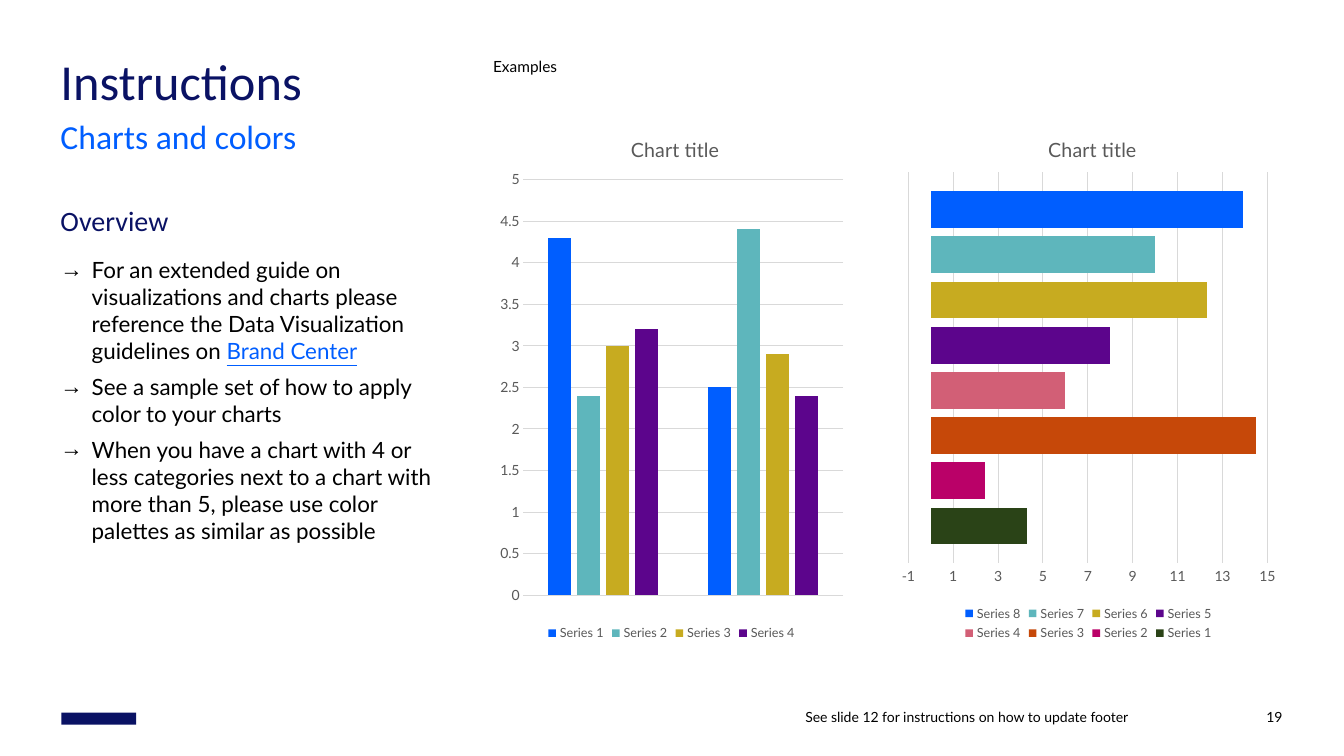
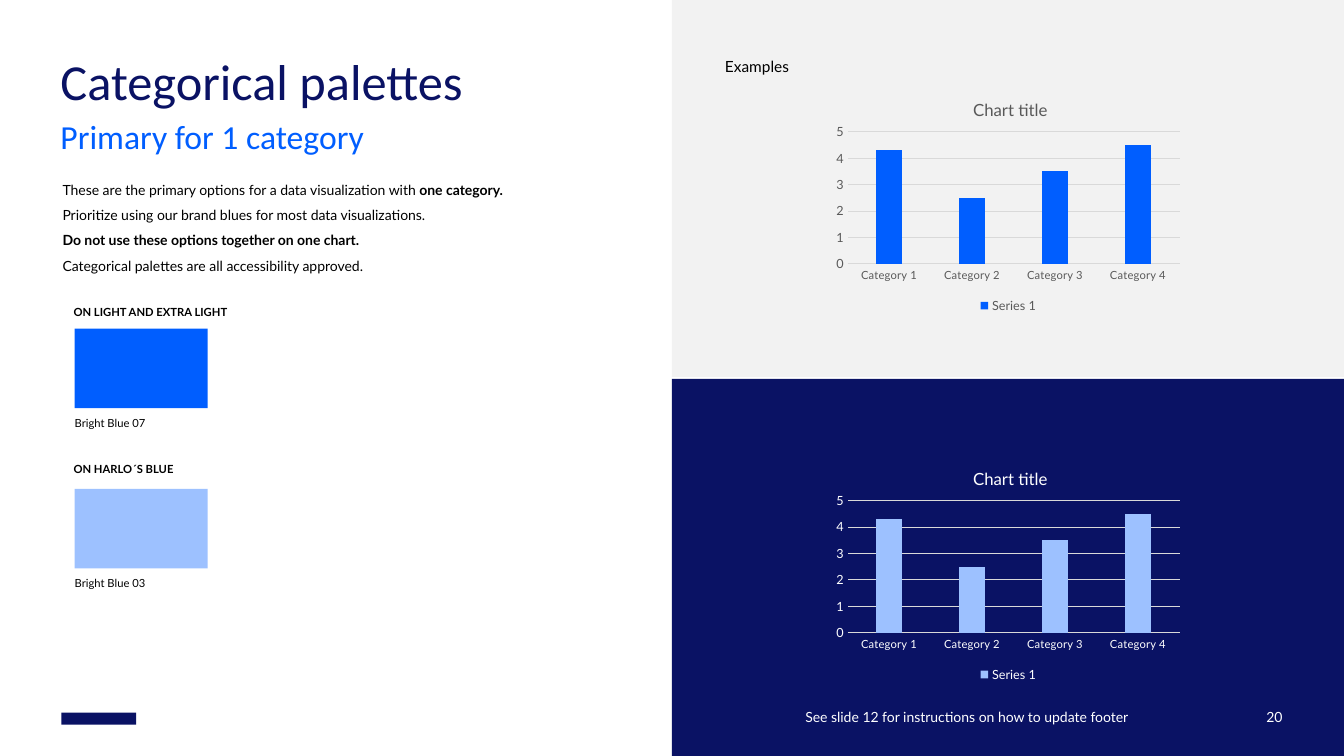
from lxml import etree
from pptx import Presentation
from pptx import util as u
from pptx.chart.data import CategoryChartData
from pptx.dml.color import RGBColor
from pptx.enum import chart as charts, shapes, text
from pptx.oxml import ns

COLORS = {
    "navy": "0A1264", "blue": "005EFF", "sky": "9DC1FF", "teal": "5EB6BC",
    "gold": "C7AB20", "purple": "5C058C", "rose": "D25F76", "rust": "C64809",
    "magenta": "BA0168", "forest": "2A4317", "pale": "F2F2F2", "rule": "D9D9D9",
    "gray": "595959", "black": "000000", "white": "FFFFFF",
}
WIDE, HIGH = 13.33, 7.5
HALF = WIDE / 2
MARGIN = 0.6
PANEL_HIGH = 3.74
SWATCH = (1.32, 0.79)
HEAD_FONT, BODY_FONT = "Calibri", "Lato"
FOOTER = "See slide 12 for instructions on how to update footer"

GUIDE = [
    [("For an extended guide on visualizations and charts please reference "
      "the Data Visualization guidelines on\u00a0", {}),
     ("Brand Center", {"color": "blue", "underline": True})],
    [("See a sample set of how to apply color to your charts", {})],
    [("When you have a chart with 4 or less categories next to a chart with more "
      "than 5, please use color palettes as similar as possible", {})],
]
INTRO = [
    [("These are the primary options for a data visualization with ", {}),
     ("one category.", {"bold": True})],
    [("Prioritize using our brand blues for most data visualizations.", {})],
    [("Do not use these options together on one chart.", {"bold": True})],
    [("Categorical palettes are all accessibility approved.", {})],
]
SWATCHES = [
    ("ON LIGHT AND EXTRA LIGHT", 3.03, "blue", 3.26, "Bright Blue 07"),
    ("ON HARLO´S BLUE", 4.59, "sky", 4.85, "Bright Blue 03"),
]
COLUMNS = [("blue", [4.3, 2.5]), ("teal", [2.4, 4.4]), ("gold", [3, 2.9]),
           ("purple", [3.2, 2.4])]
BARS = [("forest", [4.3]), ("magenta", [2.4]), ("rust", [14.5]), ("rose", [6]),
        ("purple", [8]), ("gold", [12.3]), ("teal", [10]), ("blue", [13.9])]
SINGLE = [4.3, 2.5, 3.5, 4.5]
CATEGORIES = [f"Category {number}" for number in range(1, 5)]
PANELS = [
    (0, "pale", "blue", "gray", 0.79),
    (HIGH - PANEL_HIGH, "navy", "sky", "white", 4.45),
]


def rgb(name):
    return RGBColor.from_string(COLORS[name])


def apply(target, formats):
    for name, value in formats.items():
        setattr(target, name, value)


def style(font, size, color="black", name=BODY_FONT, **formats):
    apply(font, {"size": u.Pt(size), "name": name, "bold": False, **formats})
    font.color.rgb = rgb(color)


def place(shape, left, top, width, height):
    sides = {"left": left, "top": top, "width": width, "height": height}
    apply(shape, {side: u.Inches(length) for side, length in sides.items()})


def set_bullet(para, bullet, indent):
    properties = para._p.get_or_add_pPr()
    properties.set("marL", str(u.Inches(indent)))
    properties.set("indent", str(-u.Inches(indent)))
    tag = "a:buChar" if bullet else "a:buNone"
    mark = etree.SubElement(properties, ns.qn(tag))
    if bullet:
        mark.set("char", bullet)


def write(box, paras, size, color="black", name=BODY_FONT, bullet=None, indent=0,
          anchor=text.MSO_ANCHOR.TOP, gap=0, **spacing):
    frame = box.text_frame
    apply(frame, {"word_wrap": True, "auto_size": text.MSO_AUTO_SIZE.NONE,
                  "vertical_anchor": anchor, "margin_left": 0, "margin_right": 0,
                  "margin_top": 0, "margin_bottom": 0})
    layout = {"alignment": text.PP_ALIGN.LEFT, "space_after": u.Pt(0), **spacing}
    for index, spans in enumerate(paras):
        para = frame.add_paragraph() if index else frame.paragraphs[0]
        set_bullet(para, bullet, indent)
        apply(para, {**layout, "space_before": u.Pt(gap if index else 0)})
        for words, formats in spans:
            span = para.add_run()
            span.text = words
            style(span.font, size, **{"color": color, "name": name, **formats})


def add_label(page, words, area, size, color="black", bold=False, **formats):
    box = page.shapes.add_textbox(*map(u.Inches, area))
    write(box, [[(words, {"bold": bold})]], size, color, **formats)


def add_block(page, area, color):
    block = page.shapes.add_shape(shapes.MSO_SHAPE.RECTANGLE, *map(u.Inches, area))
    block.shadow.inherit = False
    block.fill.solid()
    block.fill.fore_color.rgb = rgb(color)
    block.line.fill.background()


def add_page(deck, title, subtitle):
    page = deck.slides.add_slide(deck.slide_layouts[3])
    head, sub, body = page.placeholders
    place(head, MARGIN, 0.6, WIDE - 2 * MARGIN, 0.48)
    write(head, [[(title, {})]], 36, "navy", HEAD_FONT, line_spacing=u.Pt(36))
    place(sub, MARGIN, 1.23, WIDE - 2 * MARGIN, 0.32)
    write(sub, [[(subtitle, {})]], 24, "blue", HEAD_FONT, line_spacing=0.8)
    add_block(page, (0.61, 7.07, 0.74, 0.12), "navy")
    return page, body


def add_footer(page, number, color):
    for words, left, width in [(FOOTER, 5.23, 5.96), (number, 11.4, 1.32)]:
        add_label(page, words, (left, 6.9, width, 0.3), 10, color,
                  anchor=text.MSO_ANCHOR.BOTTOM, alignment=text.PP_ALIGN.RIGHT)


def set_layout(parent, index, inner=False, **shares):
    for old in parent.findall(ns.qn("c:layout")):
        parent.remove(old)
    layout = etree.Element(ns.qn("c:layout"))
    manual = etree.SubElement(layout, ns.qn("c:manualLayout"))
    settings = {"layoutTarget": "inner"} if inner else {}
    settings.update(xMode="edge", yMode="edge", **shares)
    for tag, value in settings.items():
        etree.SubElement(manual, ns.qn(f"c:{tag}")).set("val", str(value))
    parent.insert(index, layout)


def add_graph(page, kind, area, categories, series, plot_area, title_at, title_size,
              gap=219, overlap=-27, color="gray", value_size=10, show_categories=False,
              **scale):
    data = CategoryChartData()
    data.categories = categories
    for number, (_, values) in enumerate(series, 1):
        data.add_series(f"Series {number}", values)
    graph = page.shapes.add_chart(kind, *map(u.Inches, area), data).chart
    style(graph.font, 10)

    graph.has_title = True
    frame = graph.chart_title.text_frame
    frame.text = "Chart title"
    style(frame.paragraphs[0].runs[0].font, title_size, color)
    x, y = title_at
    set_layout(graph.chart_title.element, 1, x=x, y=y)
    x, y, w, h = plot_area
    set_layout(graph.element.xpath(".//c:plotArea")[0], 0, True, x=x, y=y, w=w, h=h)

    graph.has_legend = True
    apply(graph.legend, {"position": charts.XL_LEGEND_POSITION.BOTTOM,
                         "include_in_layout": False})
    style(graph.legend.font, 9, color)

    plot = graph.plots[0]
    apply(plot, {"gap_width": gap, "overlap": overlap, "vary_by_categories": False})
    for bars, (fill, _) in zip(plot.series, series):
        bars.invert_if_negative = False
        bars.format.fill.solid()
        bars.format.fill.fore_color.rgb = rgb(fill)

    value_axis, category_axis = graph.value_axis, graph.category_axis
    for axis, size in [(value_axis, value_size), (category_axis, 8)]:
        axis.major_tick_mark = charts.XL_TICK_MARK.NONE
        style(axis.tick_labels.font, size, color)
    apply(value_axis, {"has_major_gridlines": True, **scale})
    value_axis.format.line.fill.background()
    for line in (value_axis.major_gridlines.format.line, category_axis.format.line):
        line.color.rgb = rgb("rule")
        line.width = u.Pt(0.75)
    category_axis.visible = show_categories


def build_instructions(deck):
    page, body = add_page(deck, "Instructions", "Charts and colors")
    spacing = {"line_spacing": 1.01, "space_after": u.Pt(6)}
    place(body, MARGIN, 2.54, 3.85, 2.87)
    write(body, GUIDE, 16, bullet="→", indent=0.31, **spacing)
    add_label(page, "Overview", (MARGIN, 2.02, 3.84, 0.33), 20, "navy",
              name=HEAD_FONT, **spacing)
    add_label(page, "Examples", (4.89, 0.57, 4.19, 0.24), 11, **spacing)
    add_graph(page, charts.XL_CHART_TYPE.COLUMN_CLUSTERED, (4.89, 1.08, 3.54, 5.32),
              ["1", "2"], COLUMNS, (0.085, 0.132, 0.896, 0.775), (0.376, 0.042), 14,
              minimum_scale=0, maximum_scale=5, major_unit=0.5)
    add_graph(page, charts.XL_CHART_TYPE.BAR_CLUSTERED, (8.87, 1.08, 3.85, 5.32),
              ["1"], BARS, (0.036, 0.118, 0.925, 0.73), (0.387, 0.042), 14,
              gap=104, overlap=-23, minimum_scale=-1, maximum_scale=15, major_unit=2)
    add_footer(page, "19", "black")


def build_palettes(deck):
    page, body = add_page(deck, "Categorical palettes", "Primary for 1 category")
    place(body, 0.62, 1.8, 5.76, 1.17)
    write(body, INTRO, 10, gap=6)
    for top, back, fill, ink, chart_top in PANELS:
        add_block(page, (HALF, top, HALF, PANEL_HIGH), back)
        add_graph(page, charts.XL_CHART_TYPE.COLUMN_CLUSTERED,
                  (8.23, chart_top, 3.54, 2.36), CATEGORIES, [(fill, SINGLE)],
                  (0.05, 0.22, 0.93, 0.555), (0.393, 0.063), 12, color=ink,
                  value_size=9, show_categories=True,
                  minimum_scale=0, maximum_scale=5, major_unit=1)
    for heading, heading_top, fill, top, caption in SWATCHES:
        width, height = SWATCH
        add_label(page, heading, (0.73, heading_top, 1.8, 0.14), 8, bold=True)
        add_block(page, (0.74, top, width, height), fill)
        add_label(page, caption, (0.74, top + height + 0.08, width, 0.14), 8)
    add_label(page, "Examples", (7.19, 0.57, 4.19, 0.24), 11, line_spacing=1.01)
    add_footer(page, "20", "white")


def main():
    deck = Presentation()
    apply(deck, {"slide_width": u.Inches(WIDE), "slide_height": u.Inches(HIGH)})
    build_instructions(deck)
    build_palettes(deck)
    deck.save("out.pptx")


if __name__ == "__main__":
    main()
